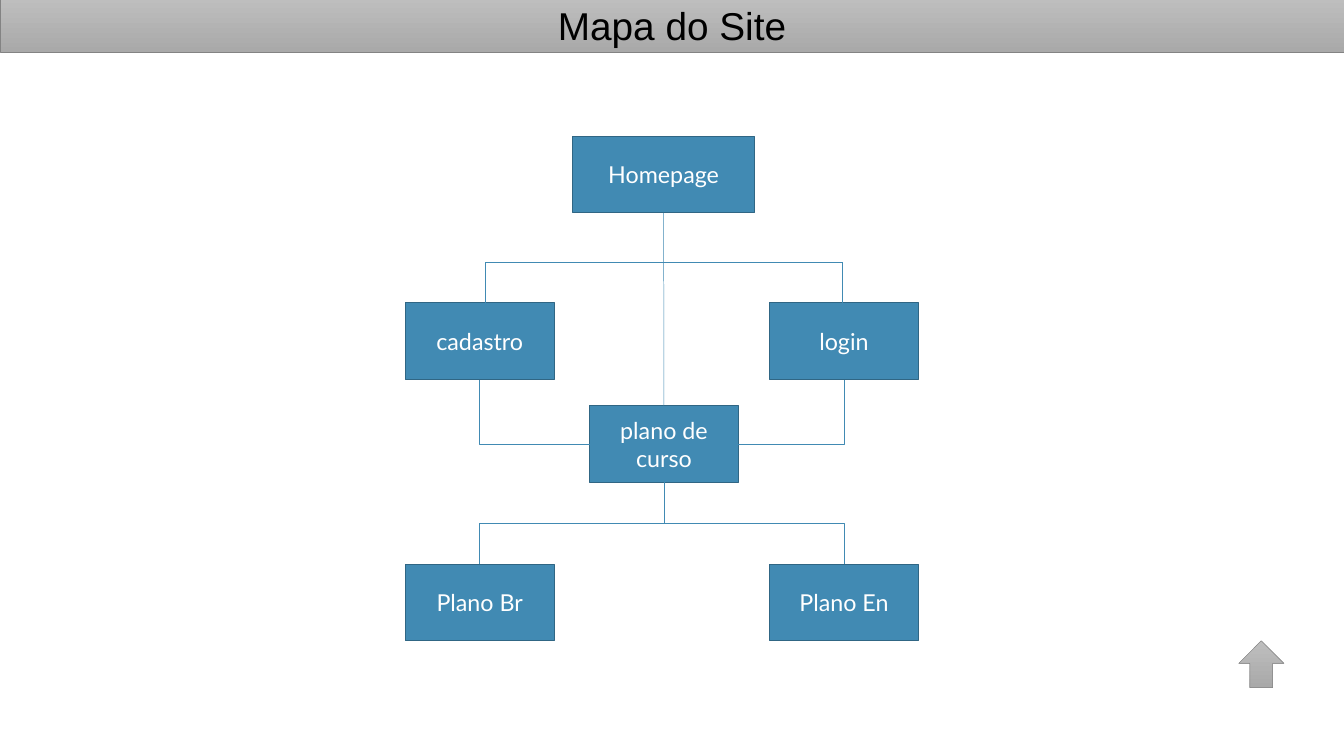
from lxml.etree import SubElement
from pptx import Presentation
from pptx.dml.color import RGBColor
from pptx.enum.shapes import MSO_CONNECTOR, MSO_SHAPE
from pptx.enum.text import MSO_ANCHOR, MSO_AUTO_SIZE, PP_ALIGN
from pptx.oxml.ns import qn
from pptx.util import Inches, Pt

COLORS = {"box": "418AB3", "box_edge": "306684", "grey_top": "BEBEBE",
          "grey_bottom": "A9A9A9", "grey_edge": "838383",
          "title": "000000", "label": "FFFFFF"}
RGB = {name: RGBColor.from_string(value) for name, value in COLORS.items()}
TOP, LEFT, BOTTOM, RIGHT = range(4)  # connection sites of a rectangle

prs = Presentation()
prs.slide_width, prs.slide_height = Inches(19.26), Inches(10.83)
s = prs.slides.add_slide(prs.slide_layouts[5])


def write(sp, text, font):
    """Put centred text in a shape, with the font settings given."""
    tf = sp.text_frame
    tf.word_wrap = True
    tf.auto_size = MSO_AUTO_SIZE.NONE
    tf.vertical_anchor = MSO_ANCHOR.MIDDLE
    p = tf.paragraphs[0]
    p.alignment = PP_ALIGN.CENTER
    r = p.add_run()
    r.text = text
    r.font.color.rgb = RGB[font["color"]]
    for key in ("name", "size"):
        setattr(r.font, key, font[key])


def style_line(c):
    """Thin blue line without a shadow."""
    c.line.color.rgb = RGB["box"]
    c.line.width = Pt(0.5)
    SubElement(c._element.spPr, qn("a:effectLst"))


# Title bar and back-to-top arrow
title = s.shapes.title
title.left, title.top, title.width, title.height = map(Inches, (0, -0.02, 19.26, 0.77))
write(title, "Mapa do Site", {"name": "Arial", "size": Pt(40), "color": "title"})
arrow = s.shapes.add_shape(MSO_SHAPE.UP_ARROW, *map(Inches, (17.75, 9.18, 0.65, 0.67)))
arrow.shadow.inherit = False
for sp in (title, arrow):
    sp.fill.gradient()
    sp.fill.gradient_angle = 270
    for stop, name in zip(sp.fill.gradient_stops, ("grey_top", "grey_bottom")):
        stop.color.rgb = RGB[name]
    sp.line.color.rgb = RGB["grey_edge"]
    sp.line.width = Pt(0.5)

# Page boxes: text, left, top, width
pages = [("Homepage", 8.21, 1.95, 2.6),
         ("cadastro", 5.81, 4.34, 2.13),
         ("login", 11.03, 4.34, 2.13),
         ("plano de curso", 8.45, 5.81, 2.13),
         ("Plano Br", 5.81, 8.08, 2.13),
         ("Plano En", 11.03, 8.08, 2.13)]
boxes = {}
for text, left, top, width in pages:
    sp = s.shapes.add_shape(MSO_SHAPE.RECTANGLE, *map(Inches, (left, top, width, 1.1)))
    sp.shadow.inherit = False
    sp.fill.solid()
    sp.fill.fore_color.rgb = RGB["box"]
    sp.line.color.rgb = RGB["box_edge"]
    sp.line.width = Pt(1)
    write(sp, text, {"name": "Lato", "size": Pt(24), "color": "label"})
    boxes[text] = sp

# Branch from the homepage to cadastro and login
bus_y, mid_x = 3.76, 9.51
for x in (6.95, 12.07):
    for start, end in (((mid_x, bus_y), (x, bus_y)), ((x, bus_y), (x, 4.34))):
        style_line(s.shapes.add_connector(MSO_CONNECTOR.STRAIGHT, *map(Inches, start + end)))
trunk = s.shapes.add_connector(MSO_CONNECTOR.STRAIGHT, 0, 0, 0, 0)
trunk.begin_connect(boxes["Homepage"], BOTTOM)
trunk.end_connect(boxes["plano de curso"], TOP)
style_line(trunk)

# Elbows leave the bottom of a box; a quarter turn makes them start downwards
elbows = [("cadastro", "plano de curso", LEFT, "bentConnector2"),
          ("login", "plano de curso", RIGHT, "bentConnector2"),
          ("plano de curso", "Plano Br", TOP, "bentConnector3"),
          ("plano de curso", "Plano En", TOP, "bentConnector3")]
for source, target, site, preset in elbows:
    c = s.shapes.add_connector(MSO_CONNECTOR.ELBOW, 0, 0, 0, 0)
    c.begin_connect(boxes[source], BOTTOM)
    c.end_connect(boxes[target], site)
    x1, y1, x2, y2 = c.begin_x, c.begin_y, c.end_x, c.end_y
    c.width, c.height = y2 - y1, abs(x2 - x1)
    c.left, c.top = (x1 + x2 - c.width) // 2, (y1 + y2 - c.height) // 2
    xfrm = c._element.spPr.find(qn("a:xfrm"))
    xfrm.set("rot", str((270 if x2 > x1 else 90) * 60000))
    xfrm.set("flipH", "1" if x2 > x1 else "0")
    xfrm.set("flipV", "0")
    c._element.spPr.find(qn("a:prstGeom")).set("prst", preset)
    style_line(c)

prs.save("out.pptx")
